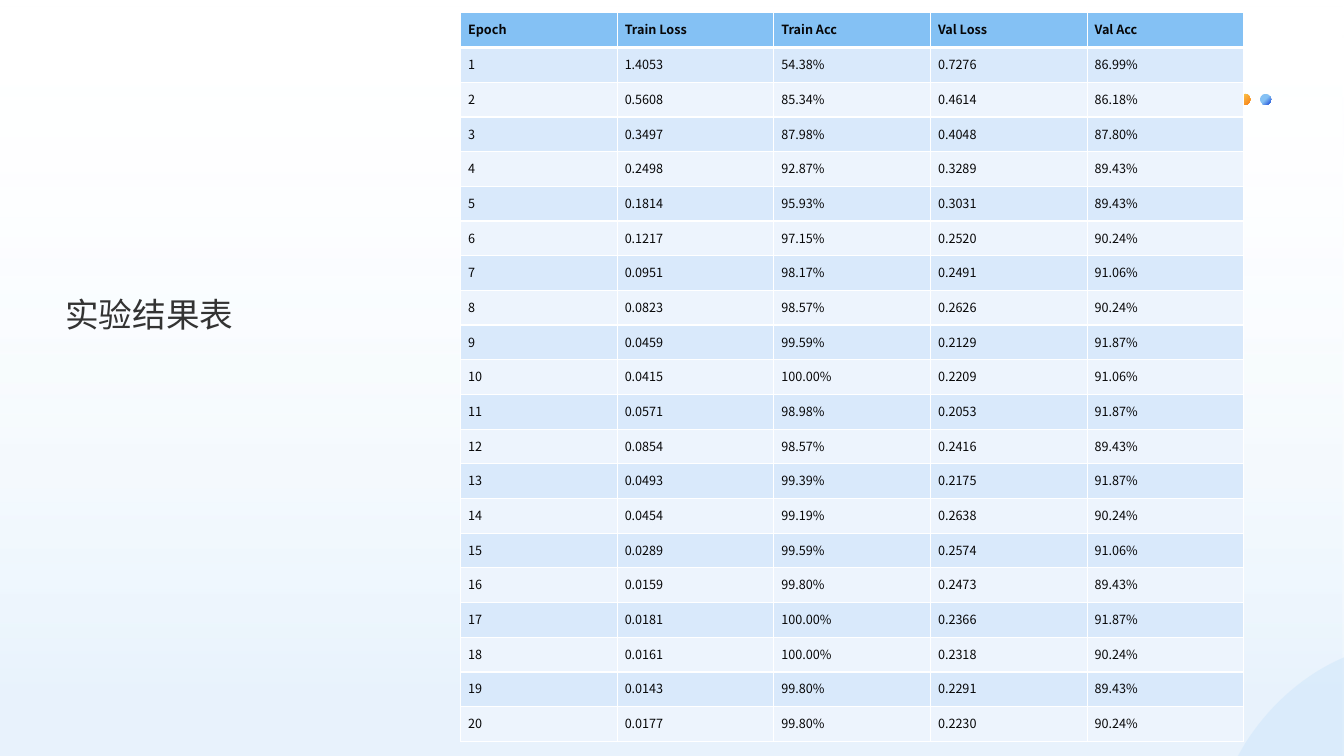
from lxml import etree
from pptx import Presentation
from pptx.dml.color import RGBColor
from pptx.enum.shapes import MSO_SHAPE
from pptx.enum.text import MSO_ANCHOR
from pptx.oxml.ns import qn
from pptx.util import Pt

RECT, OVAL = MSO_SHAPE.RECTANGLE, MSO_SHAPE.OVAL
MIDDLE = MSO_ANCHOR.MIDDLE

WIDTH, HEIGHT = 960, 540
FONT = "Noto Sans CJK SC"
COLORS = {
    "white": "FFFFFF", "sky": "84C1F4", "blue": "1A48D8",
    "yellow": "FAC348", "orange": "F88A20", "corner": "CEE6FB",
    "band": "D9E9FB", "light": "EDF4FD", "ink": "060607", "title": "333333",
}
HEADER = ["Epoch", "Train Loss", "Train Acc", "Val Loss", "Val Acc"]
EPOCHS = [
    ("1.4053", "54.38%", "0.7276", "86.99%"),
    ("0.5608", "85.34%", "0.4614", "86.18%"),
    ("0.3497", "87.98%", "0.4048", "87.80%"),
    ("0.2498", "92.87%", "0.3289", "89.43%"),
    ("0.1814", "95.93%", "0.3031", "89.43%"),
    ("0.1217", "97.15%", "0.2520", "90.24%"),
    ("0.0951", "98.17%", "0.2491", "91.06%"),
    ("0.0823", "98.57%", "0.2626", "90.24%"),
    ("0.0459", "99.59%", "0.2129", "91.87%"),
    ("0.0415", "100.00%", "0.2209", "91.06%"),
    ("0.0571", "98.98%", "0.2053", "91.87%"),
    ("0.0854", "98.57%", "0.2416", "89.43%"),
    ("0.0493", "99.39%", "0.2175", "91.87%"),
    ("0.0454", "99.19%", "0.2638", "90.24%"),
    ("0.0289", "99.59%", "0.2574", "91.06%"),
    ("0.0159", "99.80%", "0.2473", "89.43%"),
    ("0.0181", "100.00%", "0.2366", "91.87%"),
    ("0.0161", "100.00%", "0.2318", "90.24%"),
    ("0.0143", "99.80%", "0.2291", "89.43%"),
    ("0.0177", "99.80%", "0.2230", "90.24%"),
]


def rgb(name):
    return RGBColor.from_string(COLORS[name])


def set_alpha(color_element, percent):
    alpha = etree.SubElement(color_element, qn("a:alpha"))
    alpha.set("val", str(percent * 1000))


def bezier(p0, p1, p2, p3, steps=16):
    """Points along a cubic curve, both ends included."""
    points = []
    for i in range(steps + 1):
        t = i / steps
        weights = ((1 - t) ** 3, 3 * t * (1 - t) ** 2, 3 * t * t * (1 - t), t ** 3)
        points.append(tuple(sum(w * p[axis] for w, p in zip(weights, (p0, p1, p2, p3)))
                            for axis in (0, 1)))
    return points


class SlideBuilder:
    def __init__(self, slide):
        self.slide = slide

    def gradient_shape(self, kind, box, stops, angle, alphas=()):
        """Shape with two (position, colour) stops; the angle runs clockwise."""
        sp = self.slide.shapes.add_shape(kind, *(Pt(v) for v in box))
        sp.shadow.inherit = False
        sp.line.fill.background()
        sp.fill.gradient()
        sp.fill.gradient_angle = 360 - angle
        for stop, (position, color) in zip(sp.fill.gradient_stops, stops):
            stop.position = position
            stop.color.rgb = rgb(color)
        for color_element, percent in zip(sp.element.spPr.iter(qn("a:srgbClr")), alphas):
            set_alpha(color_element, percent)

    def outline(self, points, color, alpha):
        start, *rest = [(Pt(x), Pt(y)) for x, y in points]
        builder = self.slide.shapes.build_freeform(*start)
        builder.add_line_segments(rest, close=True)
        sp = builder.convert_to_shape()
        sp.shadow.inherit = False
        sp.line.fill.background()
        sp.fill.solid()
        sp.fill.fore_color.rgb = rgb(color)
        set_alpha(next(sp.element.spPr.iter(qn("a:srgbClr"))), alpha)

    def style_run(self, p, size, color, bold=False):
        r = p.runs[0]
        r.font.name, r.font.size, r.font.bold = FONT, Pt(size), bold
        r.font.color.rgb = rgb(color)
        ea = etree.SubElement(r.font._element, qn("a:ea"))
        ea.set("typeface", FONT)

    def text(self, box, text, size, color, spacing):
        tf = self.slide.shapes.add_textbox(*(Pt(v) for v in box)).text_frame
        tf.word_wrap = True
        tf.text = text
        p = tf.paragraphs[0]
        p.line_spacing = spacing
        self.style_run(p, size, color)

    def cell(self, cell, text, fill, header, top, bottom):
        cell.vertical_anchor = MIDDLE
        cell.margin_left = cell.margin_right = Pt(5.4)
        cell.margin_top = cell.margin_bottom = 0
        for side, width in (("L", 1), ("R", 1), ("T", top), ("B", bottom)):
            ln = etree.SubElement(cell._tc.get_or_add_tcPr(), qn("a:ln" + side))
            ln.set("w", str(Pt(width)))
            solid = etree.SubElement(ln, qn("a:solidFill"))
            etree.SubElement(solid, qn("a:srgbClr")).set("val", COLORS["white"])
        cell.fill.solid()
        cell.fill.fore_color.rgb = rgb(fill)
        cell.text = text
        p = cell.text_frame.paragraphs[0]
        p.line_spacing = Pt(12)
        p.space_after = Pt(2 if header else 0)
        self.style_run(p, 9, "ink", header)

    def table(self, left, top, col_width, row_height, rows):
        n_rows, n_cols = len(rows), len(rows[0])
        table = self.slide.shapes.add_table(
            n_rows, n_cols, Pt(left), Pt(top),
            Pt(col_width * n_cols), Pt(row_height * n_rows)).table
        for column in table.columns:
            column.width = Pt(col_width)
        for i, values in enumerate(rows):
            table.rows[i].height = Pt(row_height)
            fill = "sky" if i == 0 else ("light", "band")[i % 2]
            for j, value in enumerate(values):
                self.cell(table.cell(i, j), value, fill, i == 0,
                          top=3 if i == 1 else 1, bottom=3 if i == 0 else 1)


def main():
    prs = Presentation()
    prs.slide_width, prs.slide_height = Pt(WIDTH), Pt(HEIGHT)
    s = SlideBuilder(prs.slides.add_slide(prs.slide_layouts[6]))

    s.gradient_shape(RECT, (0, 0, WIDTH, HEIGHT), [(0, "white"), (0.91, "sky")], 90,
                     alphas=(0, 18))
    arc = bezier((889.2, 531.4), (905, 506.2), (927.4, 485.3), (954, 472.3))
    s.outline([(WIDTH, 469.6), (WIDTH, HEIGHT), (884.2, HEIGHT)] + arc, "corner", 50)

    dot_stops = [[(0.23, "yellow"), (0.88, "orange")], [(0.52, "sky"), (1, "blue")]]
    for i in range(4):
        s.gradient_shape(OVAL, (855.4 + 14.87 * i, 67, 8, 8), dot_stops[i % 2], 45)

    rows = [HEADER] + [(str(n), *values) for n, values in enumerate(EPOCHS, 1)]
    s.table(329, 9.2, 111.9, 24.8, rows)
    s.text((39.6, 195.1, 319.7, 72), "实验结果表", 24, "title", 1.4)

    prs.save("out.pptx")


if __name__ == "__main__":
    main()
